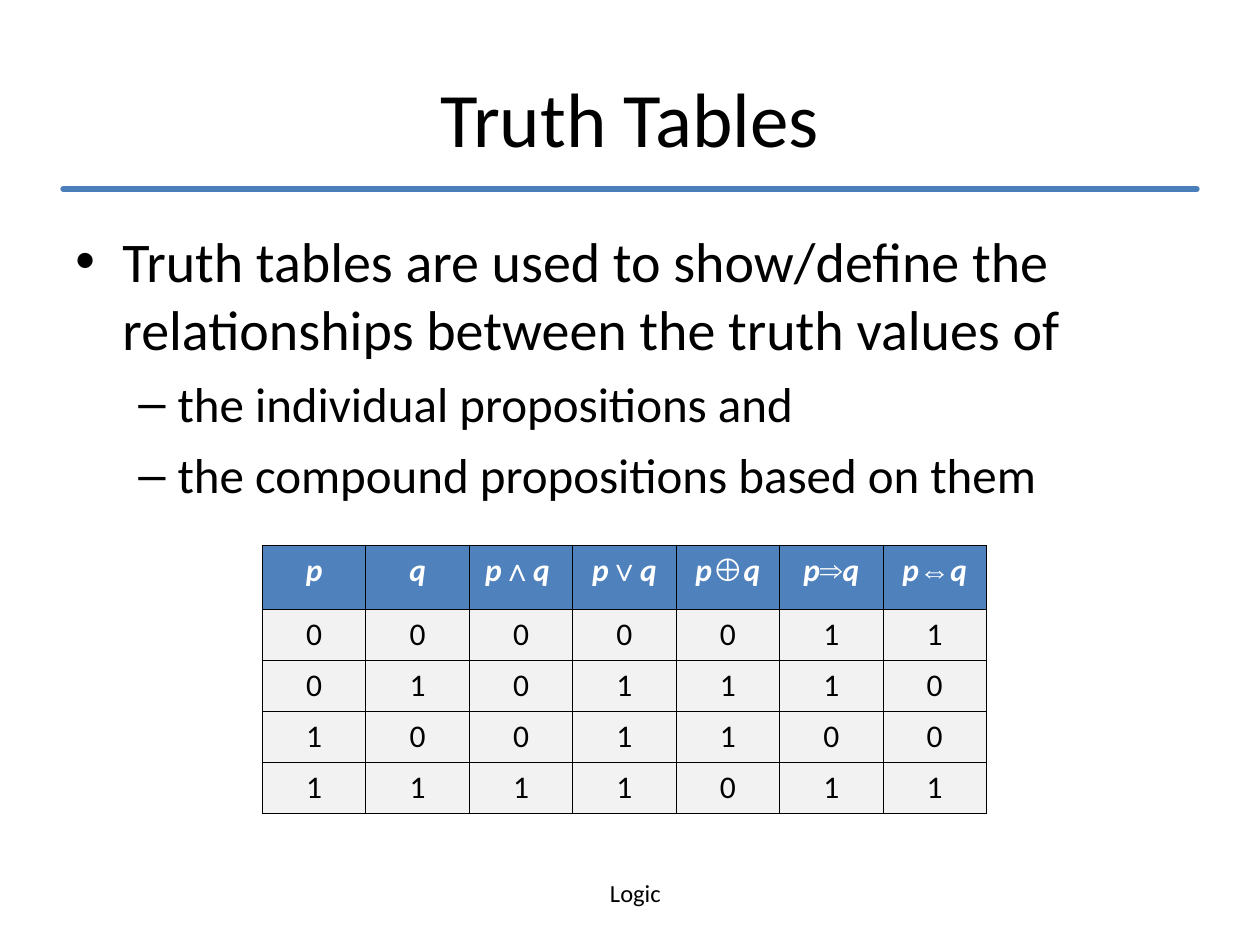
from lxml.etree import SubElement
from pptx import Presentation
from pptx.dml.color import RGBColor
from pptx.enum.shapes import MSO_CONNECTOR
from pptx.enum.text import MSO_ANCHOR, PP_ALIGN
from pptx.oxml import parse_xml
from pptx.oxml.ns import nsdecls, qn
from pptx.util import Cm, Pt

BLACK = RGBColor(0x00, 0x00, 0x00)
WHITE = RGBColor(0xFF, 0xFF, 0xFF)
RULE = RGBColor(0x4A, 0x7E, 0xBB)
HEAD = RGBColor(0x4F, 0x81, 0xBD)
BODY = RGBColor(0xF2, 0xF2, 0xF2)

POINTS = [
    # text, level, size, space before, bullet, indent, hanging
    ("Truth tables are used to show/define the relationships between "
     "the truth values of", 0, 32, 8, "•", 0.95, 0.95),
    ("the individual propositions and", 1, 28, 7, "–", 2.06, 0.79),
    ("the compound propositions based on them", 1, 28, 7, "–", 2.06, 0.79),
]
HEADS = ["p", "q", "p∧q ", "p∨q", "p⊕q", "p⇒q", "p⇔q"]
SIGNS = "∧∨⊕⇒⇔"
ROWS = ["0000011", "0101110", "1001100", "1111011"]


def write(para, text, size=18, color=BLACK, font="Calibri",
          bold=False, italic=False, align=None):
    """Add one run of formatted text to a paragraph."""
    if align is not None:
        para.alignment = align
    run = para.add_run()
    run.text = text
    run.font.size = Pt(size)
    run.font.name = font
    run.font.bold = bold
    run.font.italic = italic
    run.font.color.rgb = color


def add_box(slide, left, top, width, height, anchor=MSO_ANCHOR.TOP):
    box = slide.shapes.add_textbox(Cm(left), Cm(top), Cm(width), Cm(height))
    frame = box.text_frame
    frame.word_wrap = True
    frame.vertical_anchor = anchor
    return frame


def add_rule(slide, left, right, top):
    line = slide.shapes.add_connector(
        MSO_CONNECTOR.STRAIGHT, Cm(left), Cm(top), Cm(right), Cm(top))
    line.line.color.rgb = RULE
    line.line.width = Pt(3)
    line.line._get_or_add_ln().set("cap", "rnd")
    SubElement(line._element.spPr, qn("a:effectLst"))


def set_bullet(para, mark, indent, hang):
    props = para._p.get_or_add_pPr()
    props.set("marL", str(Cm(indent)))
    props.set("indent", str(-Cm(hang)))
    SubElement(SubElement(props, qn("a:buClr")),
               qn("a:srgbClr"), val=str(BLACK))
    SubElement(props, qn("a:buFont"), typeface="Arial")
    SubElement(props, qn("a:buChar"), char=mark)


def add_points(slide):
    frame = add_box(slide, 1.27, 4.45, 22.86, 12.57)
    for num, (text, level, size, gap, mark, indent, hang) in enumerate(POINTS):
        para = frame.add_paragraph() if num else frame.paragraphs[0]
        para.level = level
        para.space_before = Pt(gap)
        set_bullet(para, mark, indent, hang)
        write(para, text, size=size)


def set_border(cell):
    props = cell._tc.get_or_add_tcPr()
    for spot, side in enumerate(("lnL", "lnR", "lnT", "lnB")):
        props.insert(spot, parse_xml(
            f'<a:{side} {nsdecls("a")} w="{Pt(0.45)}"><a:solidFill>'
            f'<a:srgbClr val="{BLACK}"/></a:solidFill></a:{side}>'))


def write_head(para, text):
    """Write a formula, with its sign in another font."""
    for sign in SIGNS:
        if sign in text:
            left, right = text.split(sign)
            parts = [left, sign, right]
            break
    else:
        parts = [text]
    for part in parts:
        write(para, part, color=WHITE, bold=True,
              font="Arial" if part in SIGNS else "Calibri",
              italic=part not in SIGNS or part == "⇔",
              align=PP_ALIGN.CENTER)


def add_truth(slide):
    lines = [HEADS] + ROWS
    table = slide.shapes.add_table(
        len(lines), len(HEADS),
        Cm(5.29), Cm(11), Cm(14.6), Cm(5.38)).table
    table.first_row = table.horz_banding = False
    for col in table.columns:
        col.width = Cm(14.6 / len(HEADS))
    for num, line in enumerate(lines):
        table.rows[num].height = Cm(1.03 if num else 1.28)
        for col, text in enumerate(line):
            cell = table.cell(num, col)
            cell.fill.solid()
            cell.fill.fore_color.rgb = BODY if num else HEAD
            set_border(cell)
            para = cell.text_frame.paragraphs[0]
            if num:
                write(para, text, align=PP_ALIGN.CENTER)
            else:
                write_head(para, text)


def main():
    deck = Presentation()
    deck.slide_width, deck.slide_height = Cm(25.4), Cm(19.05)
    slide = deck.slides.add_slide(deck.slide_layouts[6])
    foot = add_box(slide, 9.1, 17.57, 7.42, 0.86)
    write(foot.paragraphs[0], "Logic", size=14, align=PP_ALIGN.CENTER)
    add_rule(slide, 1.27, 24.13, 3.81)
    title = add_box(slide, 1.27, 0.76, 22.86, 3.18, MSO_ANCHOR.MIDDLE)
    write(title.paragraphs[0], "Truth Tables", size=44, align=PP_ALIGN.CENTER)
    add_points(slide)
    add_truth(slide)
    deck.save("out.pptx")


if __name__ == "__main__":
    main()
